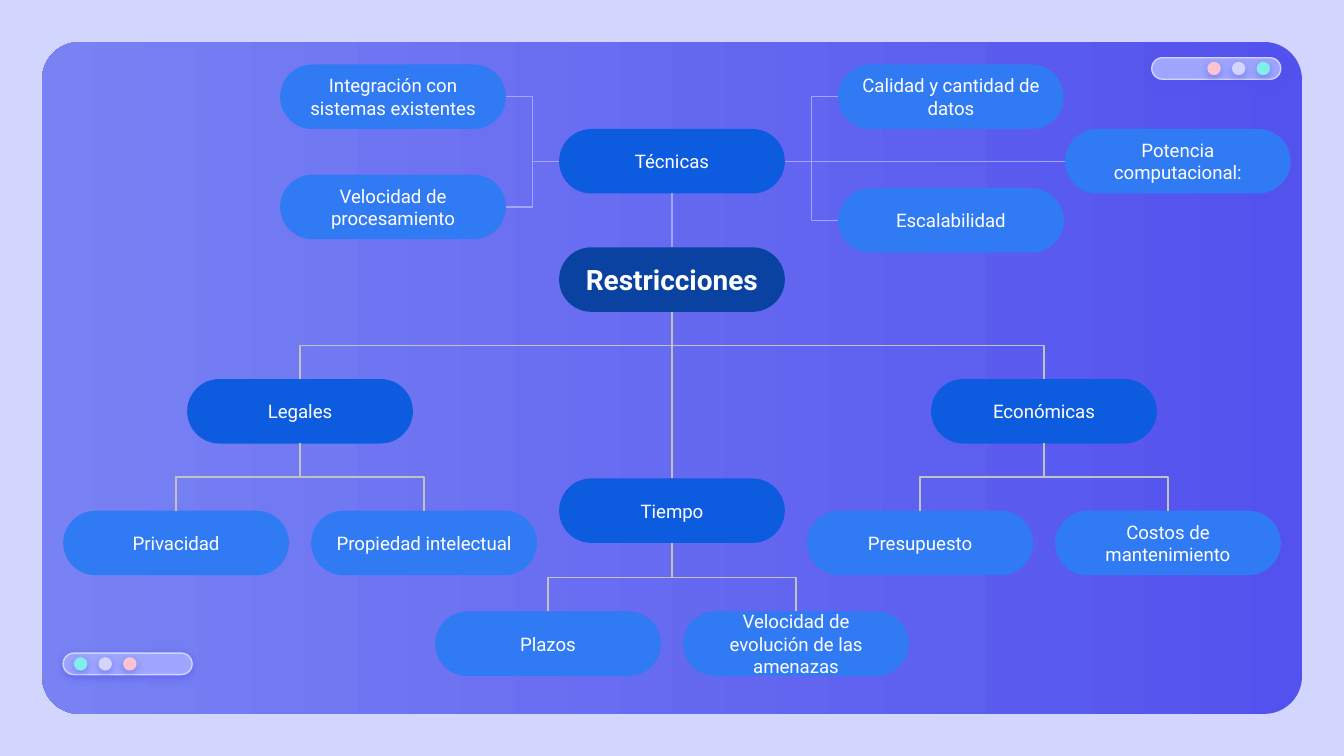
from lxml import etree
from pptx import Presentation
from pptx.dml.color import RGBColor
from pptx.enum.shapes import MSO_CONNECTOR, MSO_SHAPE
from pptx.enum.text import MSO_ANCHOR, PP_ALIGN
from pptx.oxml.ns import qn
from pptx.util import Inches, Pt

ROUND, OVAL = MSO_SHAPE.ROUNDED_RECTANGLE, MSO_SHAPE.OVAL
STRAIGHT, ELBOW = MSO_CONNECTOR.STRAIGHT, MSO_CONNECTOR.ELBOW
CENTER, MIDDLE = PP_ALIGN.CENTER, MSO_ANCHOR.MIDDLE
TOP, LEFT, BOTTOM, RIGHT = range(4)

COLORS = {
    "page": "D2D6FF", "panel_right": "5352EE", "panel_left": "7882F3",
    "pill": "9EA6FF", "mint": "81EEEB", "pink": "FFC3D0", "white": "FFFFFF",
    "root": "0942A1", "branch": "0D5CDF", "leaf": "307AF3",
    "grey_line": "C2C2C2", "violet_line": "9EA6FF",
}
FONT = "Roboto"
W = 10
H = W * 9 / 16
MARGIN = W / 32
PANEL_RADIUS = 0.28
BOX_W, BOX_H = 1.68, 0.48
COL = 3.69 / 4
ROWS = {"upper": 0.48, "technical": 0.96, "speed": 1.3, "scale": 1.4, "root": 1.84,
        "branch": 2.82, "time": 3.56, "leaf": 3.8, "bottom": 4.55}

NODES = [
    ("Restricciones", "root", 0, "root"),
    ("Económicas", "branch", 3, "branch"),
    ("Legales", "branch", -3, "branch"),
    ("Privacidad", "leaf", -4, "leaf"),
    ("Propiedad intelectual", "leaf", -2, "leaf"),
    ("Presupuesto", "leaf", 2, "leaf"),
    ("Costos de mantenimiento", "leaf", 4, "leaf"),
    ("Tiempo", "branch", 0, "time"),
    ("Plazos", "leaf", -1, "bottom"),
    ("Velocidad de evolución de las amenazas", "leaf", 1, "bottom"),
    ("Técnicas", "branch", 0, "technical"),
    ("Calidad y cantidad de datos", "leaf", 2.25, "upper"),
    ("Escalabilidad", "leaf", 2.25, "scale"),
    ("Velocidad de procesamiento", "leaf", -2.25, "speed"),
    ("Integración con sistemas existentes", "leaf", -2.25, "upper"),
    ("Potencia computacional:", "leaf", 4.08, "technical"),
]
DOWN_LINKS = {
    "Restricciones": ["Económicas", "Legales"],
    "Legales": ["Propiedad intelectual", "Privacidad"],
    "Económicas": ["Costos de mantenimiento", "Presupuesto"],
    "Tiempo": ["Velocidad de evolución de las amenazas", "Plazos"],
}
SIDE_LINKS = [
    ("Calidad y cantidad de datos", RIGHT, LEFT),
    ("Escalabilidad", RIGHT, LEFT),
    ("Integración con sistemas existentes", LEFT, RIGHT),
    ("Velocidad de procesamiento", LEFT, RIGHT),
]
PILL_W, PILL_H, DOT, DOT_INSET = 0.96, 0.16, 0.1, 0.13
DOT_STEP = 0.55 / 3
PILLS = [(9.53, 0.43, -1), (0.47, 4.86, 1)]
DOTS = ["mint", "page", "pink"]


def rgb(name):
    return RGBColor.from_string(COLORS[name])


def add_shape(kind, x, y, w, h, fill=None, adj=None):
    sp = s.shapes.add_shape(kind, Inches(x), Inches(y), Inches(w), Inches(h))
    sp.shadow.inherit = False
    sp.line.fill.background()
    if fill:
        sp.fill.solid()
        sp.fill.fore_color.rgb = rgb(fill)
    if adj is not None:
        sp.adjustments[0] = adj
    return sp


def add_shadow(sp):
    effects = sp._element.spPr.find(qn("a:effectLst"))
    outer = etree.SubElement(effects, qn("a:outerShdw"), blurRad=str(Pt(4.5)),
                             dist=str(Pt(1.5)), dir="5400000", algn="bl", rotWithShape="0")
    color = etree.SubElement(outer, qn("a:srgbClr"), val=COLORS["panel_right"])
    etree.SubElement(color, qn("a:alpha"), val="50000")


def add_node(text, level, col, row):
    sp = add_shape(ROUND, W / 2 + col * COL - BOX_W / 2, ROWS[row], BOX_W, BOX_H, level, 0.5)
    tf = sp.text_frame
    tf.word_wrap = True
    tf.vertical_anchor = MIDDLE
    tf.margin_left = tf.margin_right = tf.margin_top = tf.margin_bottom = Inches(0.1)
    p = tf.paragraphs[0]
    p.alignment = CENTER
    r = p.add_run()
    r.text = text
    r.font.name = FONT
    r.font.size = Pt(15 if level == "root" else 10)
    r.font.bold = level == "root"
    r.font.color.rgb = rgb("white")
    return sp


def add_link(kind, color, begin, end):
    c = s.shapes.add_connector(kind, 0, 0, 0, 0)
    if isinstance(begin[0], float):
        c.begin_x, c.begin_y = Inches(begin[0]), Inches(begin[1])
    else:
        c.begin_connect(*begin)
    c.end_connect(*end)
    c.line.color.rgb = rgb(color)
    c.line.width = Pt(0.75)
    etree.SubElement(c._element.spPr, qn("a:effectLst"))
    return c


def turn_down(c):
    dx, dy = c.end_x - c.begin_x, c.end_y - c.begin_y
    mid_x, mid_y = (c.begin_x + c.end_x) // 2, (c.begin_y + c.end_y) // 2
    c.left, c.top = mid_x - dy // 2, mid_y - abs(dx) // 2
    c.width, c.height = dy, abs(dx)
    xfrm = c._element.spPr.find(qn("a:xfrm"))
    xfrm.set("rot", "16200000" if dx > 0 else "5400000")
    xfrm.set("flipH", "1" if dx > 0 else "0")
    xfrm.set("flipV", "0")


prs = Presentation()
prs.slide_width, prs.slide_height = Inches(W), Inches(H)
s = prs.slides.add_slide(prs.slide_layouts[6])
s.background.fill.solid()
s.background.fill.fore_color.rgb = rgb("page")

panel_h = H - 2 * MARGIN
panel = add_shape(ROUND, MARGIN, MARGIN, W - 2 * MARGIN, panel_h, adj=PANEL_RADIUS / panel_h)
panel.fill.gradient()
panel.fill.gradient_angle = 180
for stop, name in zip(panel.fill.gradient_stops, ("panel_right", "panel_left")):
    stop.color.rgb = rgb(name)

for edge, top, side in PILLS:
    pill = add_shape(ROUND, min(edge, edge + side * PILL_W), top, PILL_W, PILL_H, "pill", 0.5)
    pill.line.color.rgb = rgb("page")
    pill.line.width = Pt(0.75)
    add_shadow(pill)
    for i, name in enumerate(DOTS):
        x = edge + side * (DOT_INSET + i * DOT_STEP) - DOT / 2
        add_shadow(add_shape(OVAL, x, top + (PILL_H - DOT) / 2, DOT, DOT, name))

boxes = {node[0]: add_node(*node) for node in NODES}

for parent, children in DOWN_LINKS.items():
    for child in children:
        turn_down(add_link(ELBOW, "grey_line", (boxes[parent], BOTTOM), (boxes[child], TOP)))
for child, start, end in SIDE_LINKS:
    add_link(ELBOW, "violet_line", (boxes["Técnicas"], start), (boxes[child], end))

fork_y = (ROWS["root"] + BOX_H + ROWS["branch"]) / 2
fork_x = W / 2 + BOX_W / 2 + 0.2
add_link(STRAIGHT, "grey_line", (W / 2, fork_y), (boxes["Tiempo"], TOP))
add_link(STRAIGHT, "violet_line", (fork_x, ROWS["technical"] + BOX_H / 2),
         (boxes["Potencia computacional:"], LEFT))
add_link(STRAIGHT, "violet_line", (boxes["Restricciones"], TOP), (boxes["Técnicas"], BOTTOM))

prs.save("out.pptx")
